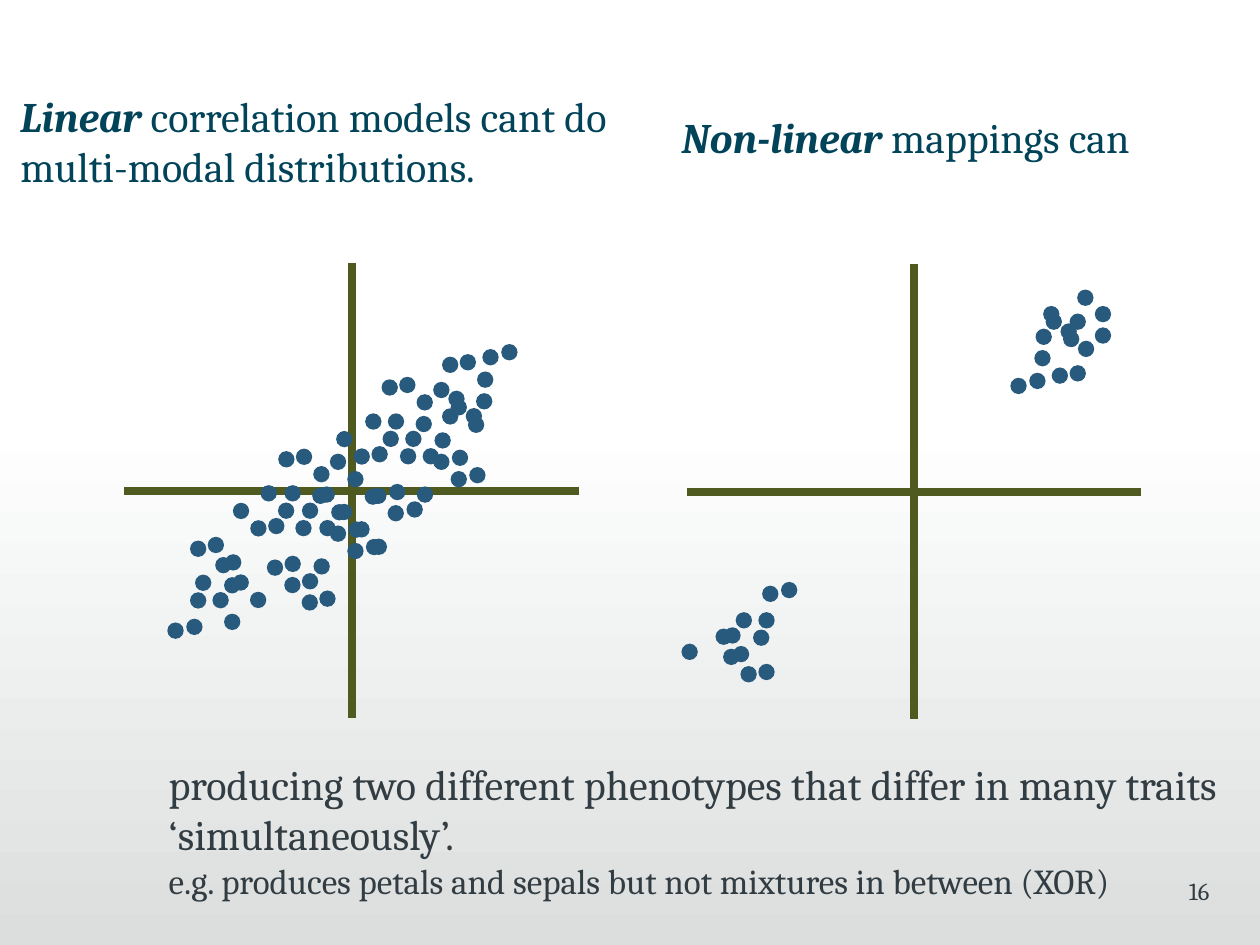
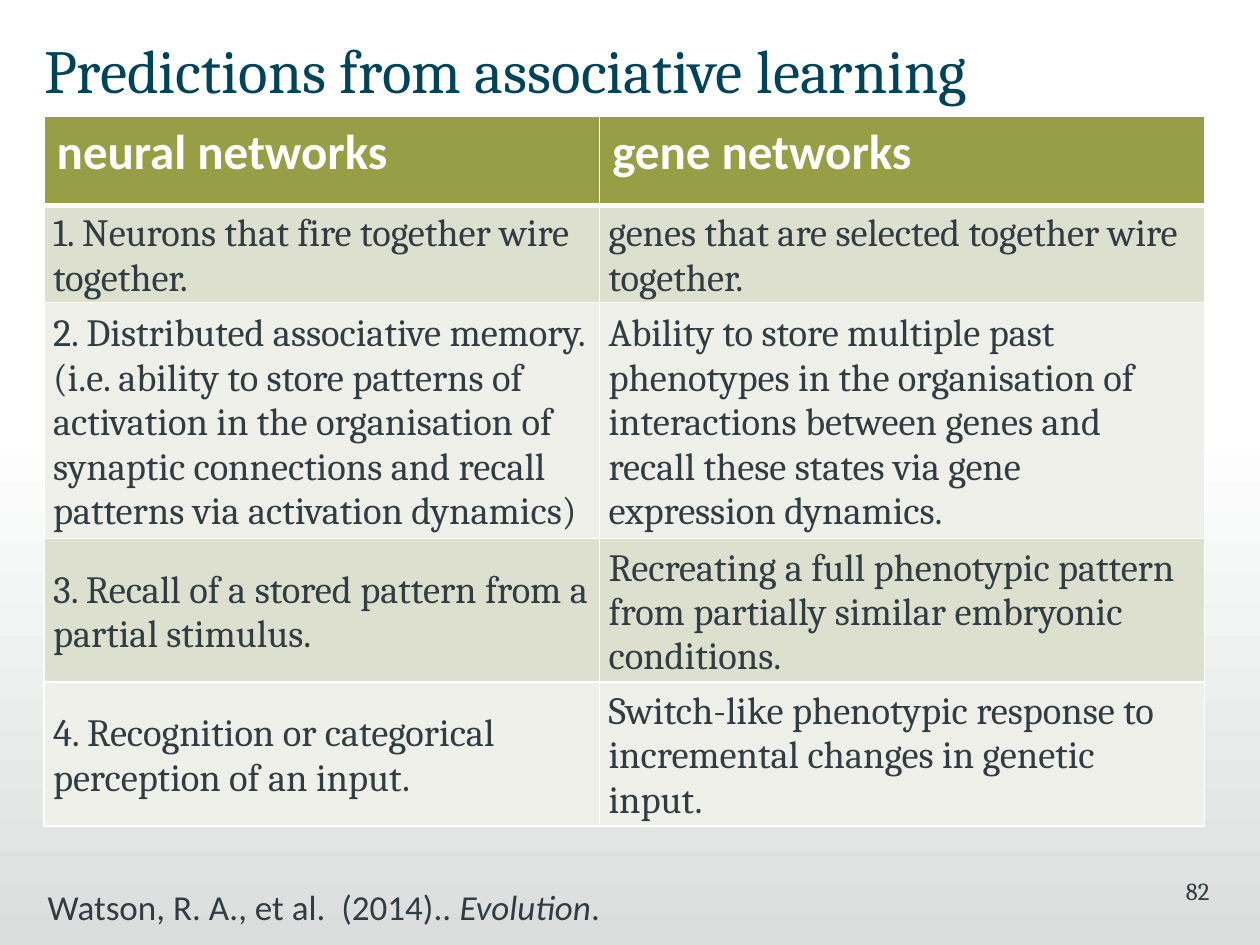
from lxml import etree
from pptx import Presentation
from pptx import util as u
from pptx.dml.color import RGBColor
from pptx.enum import shapes, text
from pptx.oxml.ns import qn

SERIF, SANS = "Cambria", "Calibri"
WHITE, TEAL, SLATE = "FFFFFF", "014359", "323D43"
AXIS_OLIVE, DOT_BLUE = "4F5A20", "285A7D"
HEADER_OLIVE, ROW_FILLS = "979E45", ("DDDFCF", "EFF0E9")
BACKDROP_END = "DCDEDE"

# Plot units: the axes are 361 units long. Each entry is the corner of the
# first dot (x, y) and the number of dots running down a diagonal from it.
PLOT_UNITS, DOT_SIZE, DIAGONAL_STEP = 361, 13, 13.8
LINEAR_DOTS = [
    (204, 92, 1), (218, 90, 2), (246, 134, 3), (245, 94, 3), (191, 119, 3),
    (232, 177, 1), (231, 121, 1), (245, 151, 2), (168, 133, 2), (196, 145, 1),
    (210, 175, 2), (299, 64, 1), (209, 119, 3), (154, 177, 4), (195, 178, 2),
    (284, 68, 1), (122, 149, 1), (136, 147, 2), (164, 191, 3), (163, 151, 3),
    (108, 176, 3), (150, 234, 1), (149, 178, 1), (163, 208, 2), (86, 190, 2),
    (114, 202, 1), (127, 232, 3), (127, 176, 3), (72, 233, 3), (79, 278, 1),
    (113, 235, 3), (252, 74, 1), (266, 72, 2), (252, 115, 1), (279, 103, 1),
    (257, 101, 2), (52, 220, 1), (66, 217, 2), (52, 261, 1), (79, 249, 1),
    (56, 247, 2), (49, 282, 1), (34, 285, 1),
]
NON_LINEAR_DOTS = [
    (324, 50, 1), (310, 20, 1), (283, 33, 3), (324, 33, 1), (304, 80, 1),
    (276, 68, 2), (304, 39, 1), (277, 51, 1), (285, 39, 2), (257, 90, 1),
    (272, 86, 1), (23, 289, 2), (-4, 301, 1), (57, 317, 1), (29, 305, 2),
    (57, 276, 1), (30, 288, 1), (39, 276, 2), (60, 255, 1), (75, 252, 1),
]

PREDICTIONS = [
    ("neural networks", "gene networks"),
    ("1. Neurons that fire together wire together.",
     "genes that are selected together wire together."),
    ("2. Distributed associative memory. (i.e. ability to store patterns of "
     "activation in the organisation of synaptic connections and recall "
     "patterns via activation dynamics)",
     "Ability to store multiple past phenotypes in the organisation of "
     "interactions between genes and recall these states via gene "
     "expression dynamics."),
    ("3. Recall of a stored pattern from a partial stimulus.",
     "Recreating a full phenotypic pattern from partially similar embryonic "
     "conditions."),
    ("4. Recognition or categorical perception of an input.",
     "Switch-like phenotypic response to incremental changes in genetic "
     "input."),
]
COLUMN_WIDTHS = (11.2, 12.19)
ROW_HEIGHTS = (1.8, 1.85, 4.57, 2.77, 2.77)


def rgb(value):
    return RGBColor.from_string(value)


def write_run(paragraph, content, size=24, font=SERIF, color=SLATE,
              bold=False, italic=False):
    run = paragraph.add_run()
    run.text = content
    run.font.size = u.Pt(size)
    run.font.name = font
    run.font.color.rgb = rgb(color)
    run.font.bold = bold
    run.font.italic = italic


def add_text(slide, box, runs, align=text.PP_ALIGN.LEFT, left_inset=0,
             right_inset=0.25, **style):
    """Add a one-paragraph box; each run is (text, style overrides)."""
    frame = slide.shapes.add_textbox(*map(u.Cm, box)).text_frame
    frame.word_wrap = True
    frame.margin_left, frame.margin_right = u.Cm(left_inset), u.Cm(right_inset)
    paragraph = frame.paragraphs[0]
    paragraph.alignment = align
    for content, overrides in runs:
        write_run(paragraph, content, **{**style, **overrides})
    return frame


def start_slide(presentation, number):
    """Add a blank slide with the shared backdrop and page number."""
    slide = presentation.slides.add_slide(presentation.slide_layouts[6])
    backdrop = slide.shapes.add_shape(
        shapes.MSO_SHAPE.RECTANGLE, *map(u.Cm, (-0.23, 8.46, 25.63, 10.59)))
    backdrop.shadow.inherit = False
    backdrop.line.fill.background()
    backdrop.fill.gradient()
    backdrop.fill.gradient_angle = 270
    for stop, color in zip(backdrop.fill.gradient_stops, (WHITE, BACKDROP_END)):
        stop.color.rgb = rgb(color)
    add_text(slide, (19.1, 17.53, 5.28, 1.27), [(str(number), {})],
             align=text.PP_ALIGN.RIGHT, left_inset=0.25, right_inset=0, size=14)
    return slide


def add_axis(group, start, end):
    axis = group.shapes.add_connector(
        shapes.MSO_CONNECTOR.STRAIGHT, *map(u.Cm, start + end))
    axis.line.color.rgb = rgb(AXIS_OLIVE)
    axis.line.width = u.Pt(4.5)
    etree.SubElement(axis._element.spPr, qn("a:effectLst"))


def add_dot_plot(slide, left, top, size, diagonals):
    group = slide.shapes.add_group_shape()
    middle_x, middle_y = left + size / 2, top + size / 2
    add_axis(group, (middle_x, top), (middle_x, top + size))
    add_axis(group, (left + size, middle_y), (left, middle_y))
    unit = size / PLOT_UNITS
    diameter = u.Cm(DOT_SIZE * unit)
    for x, y, count in diagonals:
        for index in range(count):
            shift = index * DIAGONAL_STEP
            dot = group.shapes.add_shape(
                shapes.MSO_SHAPE.OVAL, u.Cm(left + (x + shift) * unit),
                u.Cm(top + (y + shift) * unit), diameter, diameter)
            dot.shadow.inherit = False
            dot.fill.solid()
            dot.fill.fore_color.rgb = rgb(DOT_BLUE)
            dot.line.fill.background()


def set_borders(cell, **widths):
    """Draw white borders; widths are points by side, in L, R, T, B order."""
    properties = cell._tc.get_or_add_tcPr()
    for index, (side, width) in enumerate(widths.items()):
        line = etree.Element(qn(f"a:ln{side}"), w=str(u.Pt(width)))
        fill = etree.SubElement(line, qn("a:solidFill"))
        etree.SubElement(fill, qn("a:srgbClr"), val=WHITE)
        properties.insert(index, line)


def add_predictions_table(slide, left, top):
    table = slide.shapes.add_table(
        len(PREDICTIONS), len(COLUMN_WIDTHS), u.Cm(left), u.Cm(top),
        u.Cm(sum(COLUMN_WIDTHS)), u.Cm(sum(ROW_HEIGHTS))).table
    for column, width in zip(table.columns, COLUMN_WIDTHS):
        column.width = u.Cm(width)
    for row_index, (row, height) in enumerate(zip(table.rows, ROW_HEIGHTS)):
        row.height = u.Cm(height)
        is_header = row_index == 0
        for cell, content in zip(row.cells, PREDICTIONS[row_index]):
            cell.fill.solid()
            paragraph = cell.text_frame.paragraphs[0]
            if is_header:
                cell.fill.fore_color.rgb = rgb(HEADER_OLIVE)
                write_run(paragraph, content, size=28, font=SANS,
                          color=WHITE, bold=True)
            else:
                cell.fill.fore_color.rgb = rgb(ROW_FILLS[(row_index - 1) % 2])
                cell.vertical_anchor = text.MSO_ANCHOR.MIDDLE
                cell.margin_left = cell.margin_right = u.Cm(0.18)
                cell.margin_top, cell.margin_bottom = u.Cm(0.1), 0
                write_run(paragraph, content, size=22)
            set_borders(cell, L=1, R=1, T=3 if row_index == 1 else 1,
                        B=3 if is_header else 1)


def build_mappings_slide(presentation):
    slide = start_slide(presentation, 16)
    emphasis = {"bold": True, "italic": True}
    add_text(slide, (0.41, 1.7, 12.42, 1.8),
             [("Linear", emphasis),
              (" correlation models cant do multi-modal distributions.", {})],
             color=TEAL)
    add_text(slide, (13.74, 2.13, 11.07, 1.8),
             [("Non-linear", emphasis), (" mappings can", {})], color=TEAL)
    add_dot_plot(slide, 2.51, 5.31, 9.17, LINEAR_DOTS)
    add_dot_plot(slide, 13.84, 5.33, 9.17, NON_LINEAR_DOTS)
    conclusion = add_text(
        slide, (3.4, 15.16, 22.63, 2.92),
        [("producing two different phenotypes that differ in many traits "
          "‘simultaneously’.", {})])
    write_run(conclusion.add_paragraph(),
              "e.g. produces petals and sepals but not mixtures in between (XOR)",
              size=20)


def build_predictions_slide(presentation):
    slide = start_slide(presentation, 82)
    add_text(slide, (0.89, 0.53, 23.6, 1.8),
             [("Predictions from associative learning", {})],
             size=35, color=TEAL)
    add_predictions_table(slide, 0.89, 2.34)
    add_text(slide, (0.71, 17.73, 22.71, 1.12),
             [("Watson, R. A., et al.  (2014).. ", {}),
              ("Evolution", {"italic": True}), (".", {})],
             left_inset=0.25, size=20, font=SANS)


def main():
    presentation = Presentation()
    presentation.slide_width = u.Cm(25.4)
    presentation.slide_height = u.Cm(19.05)
    build_mappings_slide(presentation)
    build_predictions_slide(presentation)
    presentation.save("out.pptx")


if __name__ == "__main__":
    main()
